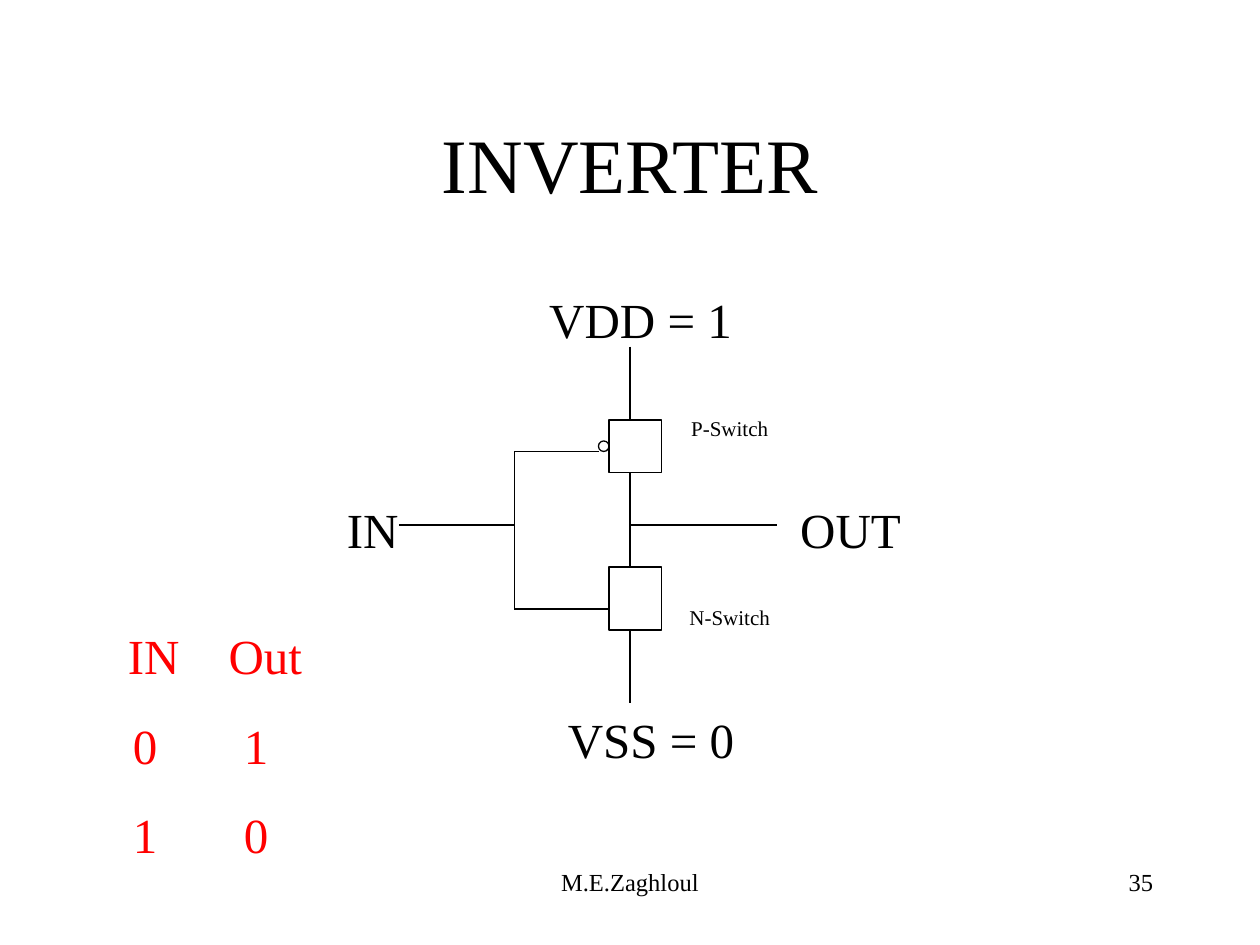
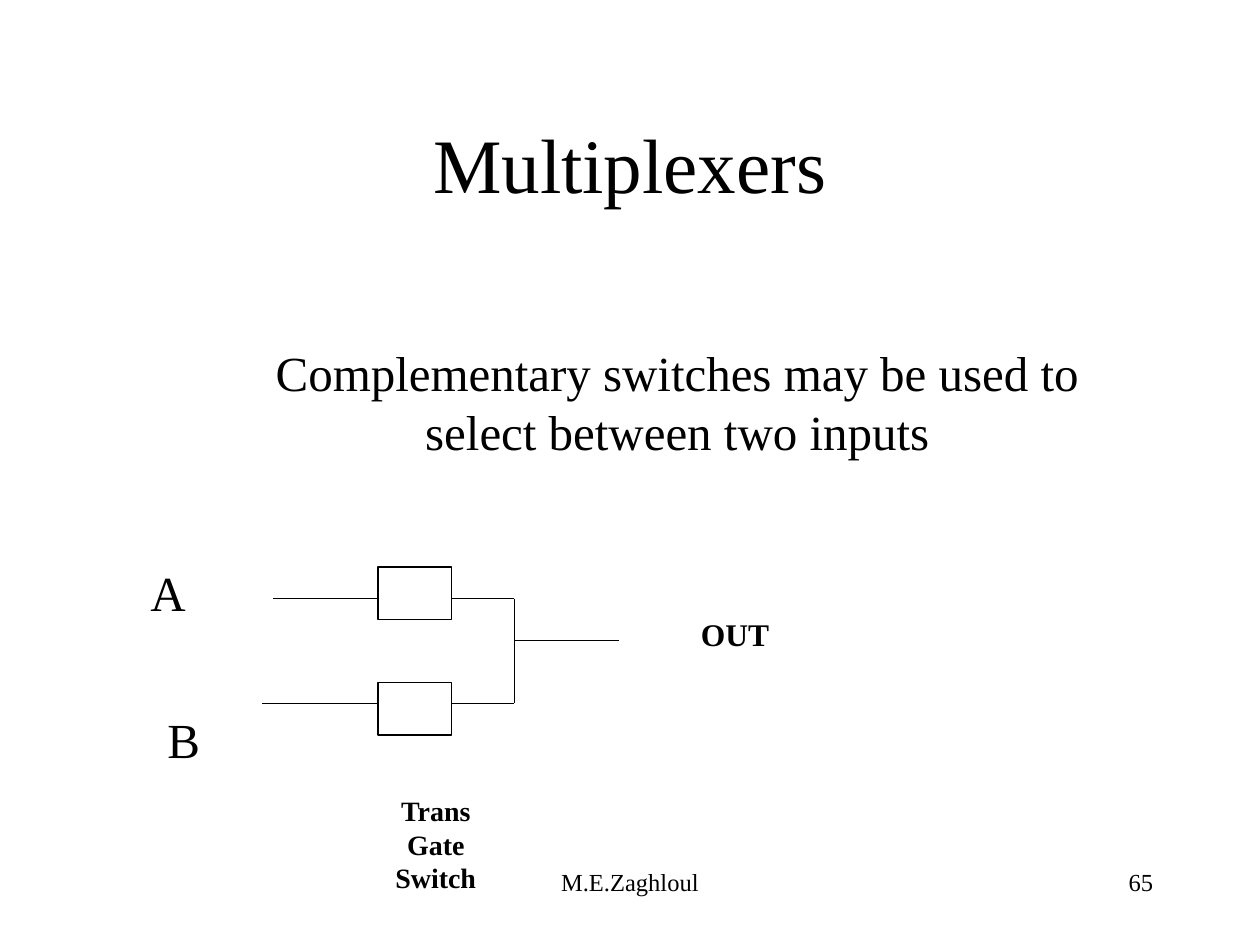
from lxml import etree
from pptx import Presentation
from pptx import util as u
from pptx.dml.color import RGBColor
from pptx.enum import shapes, text
from pptx.oxml import ns

COLOURS = {"ink": "000000", "paper": "FFFFFF", "truth": "FF0000"}
FONT = "Times New Roman"
LINE_WIDTH = u.Pt(0.75)
GRID_PER_INCH = 12
TITLE_ONLY_LAYOUT = 5
CENTER = text.PP_ALIGN.CENTER


def colour(name):
    return RGBColor.from_string(COLOURS[name])


def grid(*counts):
    """Turn counts of grid squares (twelfths of an inch) into lengths."""
    return [u.Inches(count / GRID_PER_INCH) for count in counts]


def format_paragraph(paragraph, size, ink="ink", bold=False, align=CENTER, gap=0):
    paragraph.alignment = align
    paragraph.space_before = u.Pt(gap)
    font_format = {"name": FONT, "size": u.Pt(size), "bold": bold}
    for name, value in font_format.items():
        setattr(paragraph.font, name, value)
    paragraph.font.color.rgb = colour(ink)


def add_text(slide, box, lines, size, fit=False, **style):
    shape = slide.shapes.add_textbox(*grid(*box))
    frame = shape.text_frame
    frame_format = {"word_wrap": True, "vertical_anchor": text.MSO_ANCHOR.TOP}
    if fit:
        frame_format["auto_size"] = text.MSO_AUTO_SIZE.SHAPE_TO_FIT_TEXT
    for name, value in frame_format.items():
        setattr(frame, name, value)
    frame.text = "\n".join(lines)
    for paragraph in frame.paragraphs:
        format_paragraph(paragraph, size, **style)
    return shape


def add_label(slide, left, top, width, words, size=28, rows=1, bold=False):
    height = (rows * size * 1.2 / 72 + 0.1) * GRID_PER_INCH
    add_text(slide, (left, top, width, height), [words], size,
             fit=True, bold=bold, gap=size * 0.625)


def add_wire(slide, x1, y1, x2, y2):
    wire = slide.shapes.add_connector(
        shapes.MSO_CONNECTOR.STRAIGHT, *grid(x1, y1, x2, y2))
    wire.line.color.rgb = colour("ink")
    wire.line.width = LINE_WIDTH
    etree.SubElement(wire.element.spPr, ns.qn("a:effectLst"))


def add_part(slide, kind, left, top, width, height):
    part = slide.shapes.add_shape(kind, *grid(left, top, width, height))
    part.shadow.inherit = False
    part.fill.solid()
    part.fill.fore_color.rgb = colour("paper")
    part.line.color.rgb = colour("ink")
    part.line.width = LINE_WIDTH


def add_circuit(slide, left, top, wires, switches, labels):
    """Draw wires, switch boxes and labels, all counted from left and top."""
    for x1, y1, x2, y2 in wires:
        add_wire(slide, left + x1, top + y1, left + x2, top + y2)
    for x, y, width, height in switches:
        add_part(slide, shapes.MSO_SHAPE.RECTANGLE,
                 left + x, top + y, width, height)
    for x, y, width, words, *style in labels:
        add_label(slide, left + x, top + y, width, words, *style)


def add_inverter(slide, left, top):
    rail, gate, middle = 34, 23, 23
    wires = [
        (rail, 6, rail, 13),
        (rail, 18, rail, 27),
        (rail, 33, rail, 40),
        (31, 16, gate, 16),
        (gate, 16, gate, 31),
        (gate, 31, 32, 31),
        (12, middle, gate, middle),
        (rail, middle, 48, middle),
    ]
    switches = [(32, 13, 5, 5), (32, 27, 5, 6)]
    labels = [
        (24, 0, 22, "VDD = 1"),
        (26, 40, 20, "VSS = 0"),
        (0, 20, 19, "IN"),
        (44, 20, 22, "OUT"),
        (38, 12, 11, "P-Switch", 12),
        (38, 30, 11, "N-Switch", 12),
    ]
    add_circuit(slide, left, top, wires, switches, labels)
    add_part(slide, shapes.MSO_SHAPE.OVAL, left + 31, top + 15, 1, 1)


def add_multiplexer(slide, left, top):
    join, row_a, row_b = 38, 4, 14
    wires = [
        (15, row_a, 25, row_a),
        (14, row_b, 25, row_b),
        (32, row_a, join, row_a),
        (32, row_b, join, row_b),
        (join, row_a, join, row_b),
        (join, 8, 48, 8),
    ]
    switches = [(25, 1, 7, 5), (25, 12, 7, 5)]
    labels = [
        (0, 0, 10, "A"),
        (3, 14, 7, "B"),
        (53, 5, 12, "OUT", 18, 1, True),
        (23, 22, 15, "Trans Gate Switch", 16, 3, True),
    ]
    add_circuit(slide, left, top, wires, switches, labels)


def add_truth_table(slide, left, top, width, height):
    """Set the two columns as tabbed text, with tab stops in inches."""
    rows = [("IN", "Out"), ("0", "1"), ("1", "0")]
    header_stops, value_stops = (0.25, 1.05), (0.29, 1.17)
    lines = ["".join(f"\t{value}" for value in row) for row in rows]
    table = add_text(slide, (left, top, width, height), lines, 28, fit=True,
                     ink="truth", align=text.PP_ALIGN.LEFT, gap=17.5)
    for index, paragraph in enumerate(table.text_frame.paragraphs):
        properties = paragraph._p.get_or_add_pPr()
        tab_list = etree.Element(ns.qn("a:tabLst"))
        for stop in value_stops if index else header_stops:
            etree.SubElement(tab_list, ns.qn("a:tab"),
                             pos=str(u.Inches(stop)), algn="l")
        properties.find(ns.qn("a:spcBef")).addnext(tab_list)


def add_titled_slide(presentation, title, number):
    layout = presentation.slide_layouts[TITLE_ONLY_LAYOUT]
    slide = presentation.slides.add_slide(layout)
    add_text(slide, (41, 82, 38, 6), ["M.E.Zaghloul"], 14)
    add_text(slide, (86, 82, 25, 6), [str(number)], 14,
             align=text.PP_ALIGN.RIGHT)
    heading = slide.shapes.title
    bounds = zip(("left", "top", "width", "height"), grid(9, 8, 102, 15))
    for name, value in bounds:
        setattr(heading, name, value)
    heading.text_frame.text = title
    heading.text_frame.vertical_anchor = text.MSO_ANCHOR.MIDDLE
    format_paragraph(heading.text_frame.paragraphs[0], 44)
    return slide


def build_inverter_slide(presentation):
    slide = add_titled_slide(presentation, "INVERTER", 35)
    add_inverter(slide, 26, 27)
    add_truth_table(slide, 8, 59, 25, 24)


def build_multiplexer_slide(presentation):
    slide = add_titled_slide(presentation, "Multiplexers", 65)
    add_label(slide, 21, 32, 87, "Complementary switches may be used to "
              "select between two inputs", rows=2)
    add_multiplexer(slide, 11, 53)


def main():
    presentation = Presentation()
    presentation.slide_width = u.Inches(10)
    presentation.slide_height = u.Inches(7.5)
    build_inverter_slide(presentation)
    build_multiplexer_slide(presentation)
    presentation.save("out.pptx")


if __name__ == "__main__":
    main()
